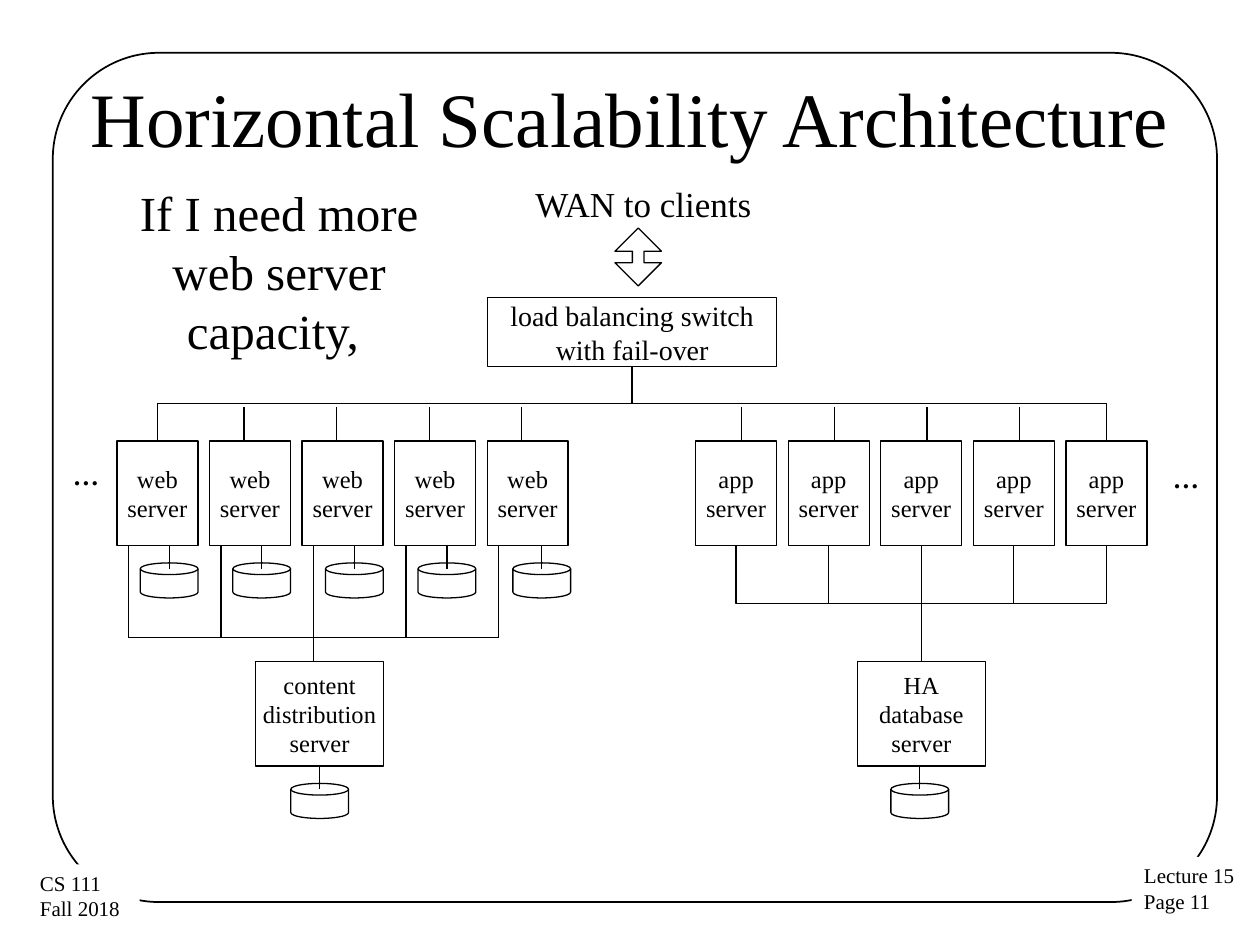
from pptx import Presentation
from pptx.dml.color import RGBColor
from pptx.enum import shapes, text
from pptx.oxml.ns import qn
from pptx.util import Pt

SHAPE = shapes.MSO_SHAPE
LINK = shapes.MSO_CONNECTOR
ALIGN = text.PP_ALIGN
ANCHOR = text.MSO_ANCHOR


def color(value):
    return RGBColor.from_string(value)


def write(box, content, size, align=ALIGN.LEFT, anchor=ANCHOR.TOP,
          bold=False, wrap=False, inset=(7.9, 4), font="Times New Roman",
          ink="000000"):
    frame = box.text_frame
    frame.word_wrap = wrap
    frame.vertical_anchor = anchor
    frame.margin_left = frame.margin_right = Pt(inset[0])
    frame.margin_top = frame.margin_bottom = Pt(inset[1])
    for index, line in enumerate(content.split("\n")):
        para = frame.paragraphs[0] if index == 0 else frame.add_paragraph()
        para.alignment = align
        span = para.add_run()
        span.text = line
        span.font.name = font
        span.font.size = Pt(size)
        span.font.bold = bold
        span.font.color.rgb = color(ink)


class Diagram:
    ink, paper, stroke = "000000", "FFFFFF", 0.75

    def __init__(self, page):
        self.page = page

    def shape(self, kind, x, y, width, height, fill=None, stroke=stroke):
        box = self.page.shapes.add_shape(kind, Pt(x), Pt(y), Pt(width), Pt(height))
        box.shadow.inherit = False
        if fill:
            box.fill.solid()
            box.fill.fore_color.rgb = color(fill)
        else:
            box.fill.background()
        if stroke:
            box.line.color.rgb = color(self.ink)
            box.line.width = Pt(stroke)
        else:
            box.line.fill.background()
        return box

    def node(self, label, x, y, width, height, size=14):
        box = self.shape(SHAPE.RECTANGLE, x, y, width, height)
        write(box, label, size, ALIGN.CENTER, ANCHOR.MIDDLE)

    def label(self, content, x, y, width, height, size, **style):
        box = self.page.shapes.add_textbox(Pt(x), Pt(y), Pt(width), Pt(height))
        write(box, content, size, **style)

    def corner_note(self, content, x, y, width, height):
        box = self.shape(SHAPE.RECTANGLE, x, y, width, height, self.paper, None)
        write(box, content, 12, inset=(7.2, 3.6))

    def line(self, x1, y1, x2, y2, kind=LINK.STRAIGHT):
        link = self.page.shapes.add_connector(kind, Pt(x1), Pt(y1), Pt(x2), Pt(y2))
        link.line.color.rgb = color(self.ink)
        link.line.width = Pt(self.stroke)
        properties = link._element.spPr
        properties.append(properties.makeelement(qn("a:effectLst"), {}))
        return link

    def elbow(self, x1, y1, x2, y2):
        """Elbow that leaves and arrives vertically: a quarter-turned connector."""
        mid_x, mid_y = (x1 + x2) / 2, (y1 + y2) / 2
        link = self.line(mid_x + y1 - mid_y, mid_y - x1 + mid_x,
                         mid_x + y2 - mid_y, mid_y - x2 + mid_x, LINK.ELBOW)
        link._element.spPr.find(qn("a:xfrm")).set("rot", "5400000")

    def disk(self, center, server_bottom):
        self.shape(SHAPE.FLOWCHART_MAGNETIC_DISK, center - 16.5,
                   server_bottom + 10, 33, 20)
        self.line(center, server_bottom + 13.2, center, server_bottom)


deck = Presentation()
deck.slide_width, deck.slide_height = Pt(720), Pt(540)
page = deck.slides.add_slide(deck.slide_layouts[6])
art = Diagram(page)

# Frame and corner notes
frame = art.shape(SHAPE.ROUNDED_RECTANGLE, 30.2, 30.2, 665.3, 485.3, stroke=1)
frame.adjustments[0] = 0.125
art.corner_note("Lecture 15\nPage 11", 646.6, 489.6, 65.5, 36.7)
art.corner_note("CS 111\nFall 2018 ", 15.8, 493.9, 64, 36.7)

# Title and remark
art.label("Horizontal Scalability Architecture", 36, 21.6, 648, 90, 44,
          align=ALIGN.CENTER, anchor=ANCHOR.MIDDLE, wrap=True, inset=(7.2, 3.6))
art.label("If I need more web server capacity, ", 56.2, 100.8, 206.6, 108.7, 28,
          align=ALIGN.CENTER, wrap=True, inset=(7.2, 3.6))

# Clients and switch
art.label("WAN to clients", 298, 100.1, 140.4, 32.4, 20)
arrow = art.shape(SHAPE.UP_DOWN_ARROW, 351.4, 130.3, 26.6, 33.1)
arrow.adjustments[0], arrow.adjustments[1] = 0.5, 0.249
switch_x, switch_bottom = 361.2, 209.6
art.node("load balancing switch\nwith fail-over", 278.6, 170, 165.3, 39.6, 16)

# Server rows
top, width, height, step, count = 252, 46.3, 59.7, 52.9, 5
bottom = top + height
web_x, app_x = 66.8, 397.5
for i in range(count):
    art.node("web\nserver", web_x + i * step, top, width, height)
    art.node("app\nserver", app_x + i * step, top, width, height)

# Switch to servers
first_web = web_x + width / 2
last_app = app_x + 4 * step + width / 2
for end in (first_web, last_app):
    art.elbow(switch_x, switch_bottom, end, top)
for first in (139.5, 423.9):
    for i in range(count - 1):
        art.line(first + i * step, top, first + i * step, 232.4)

# Web servers: disks and content distribution
content_top, lower_height, lower_width = 378, 59.7, 72.9
web_bus, web_link = 364.3, 73.4
for center in (96.7, 149.6, 202.5, 255.4, 309.6):
    art.disk(center, bottom)
for i in range(count):
    art.line(web_link + i * step, web_bus, web_link + i * step, bottom)
art.line(web_link, web_bus, web_link + 4 * step, web_bus)
art.line(web_link + 2 * step, content_top, web_link + 2 * step, web_bus)
art.node("content\ndistribution\nserver", 146.2, content_top,
         lower_width, lower_height)

# App servers and shared database
database_x = app_x + 2 * step + width / 2
art.node("HA\ndatabase\nserver", 490.1, content_top, lower_width, lower_height)
for i in (0, 1, 3, 4):
    art.elbow(database_x, content_top, app_x + i * step + width / 2, bottom)
art.line(database_x, content_top, database_x, bottom)
for center in (182.7, 525.6):
    art.disk(center, content_top + lower_height)

# More servers on both sides
for x, y in ((33.8, 258.5), (662.4, 259.9)):
    art.label("…", x, y, 31.7, 26.6, 15, bold=True)

deck.save("out.pptx")
